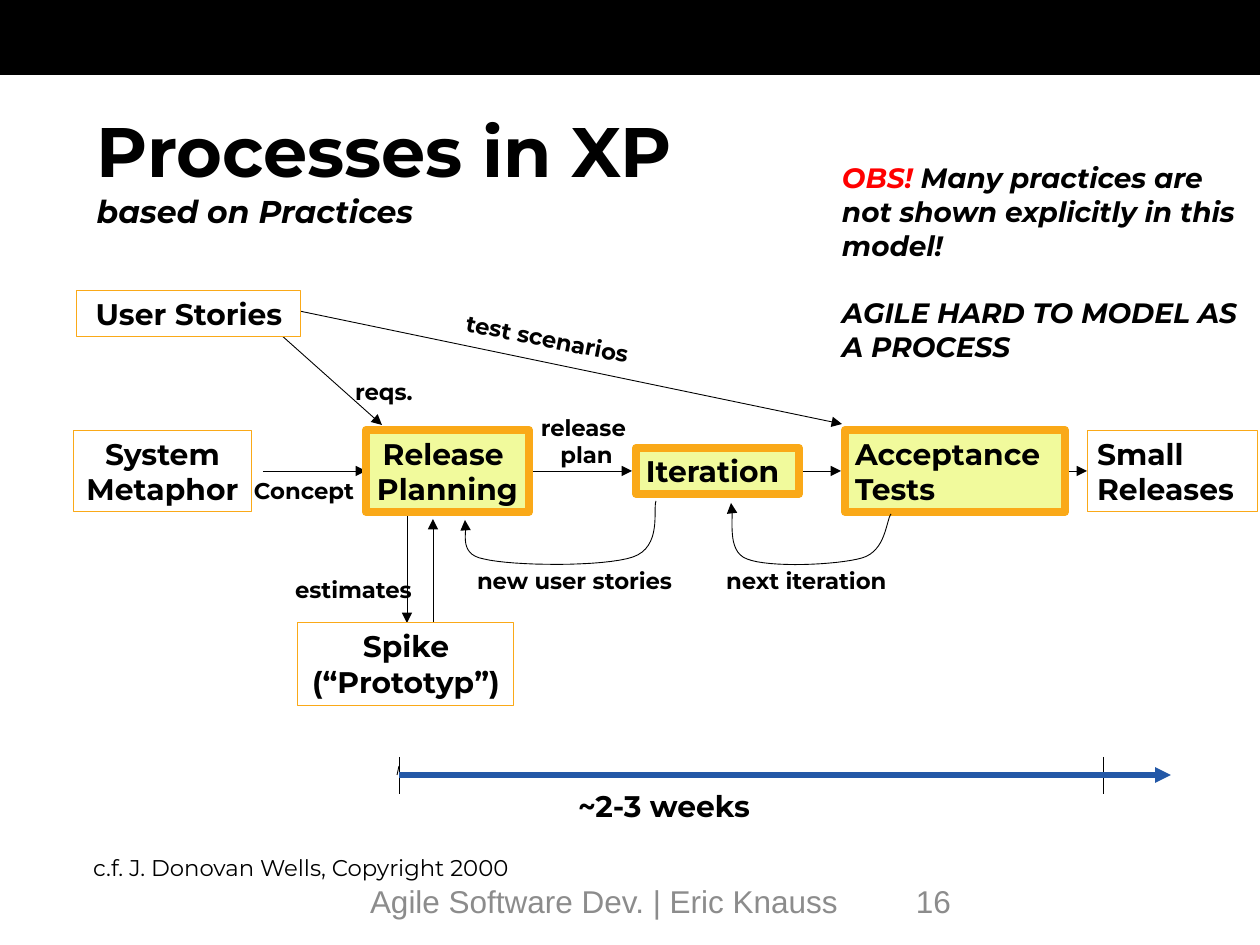
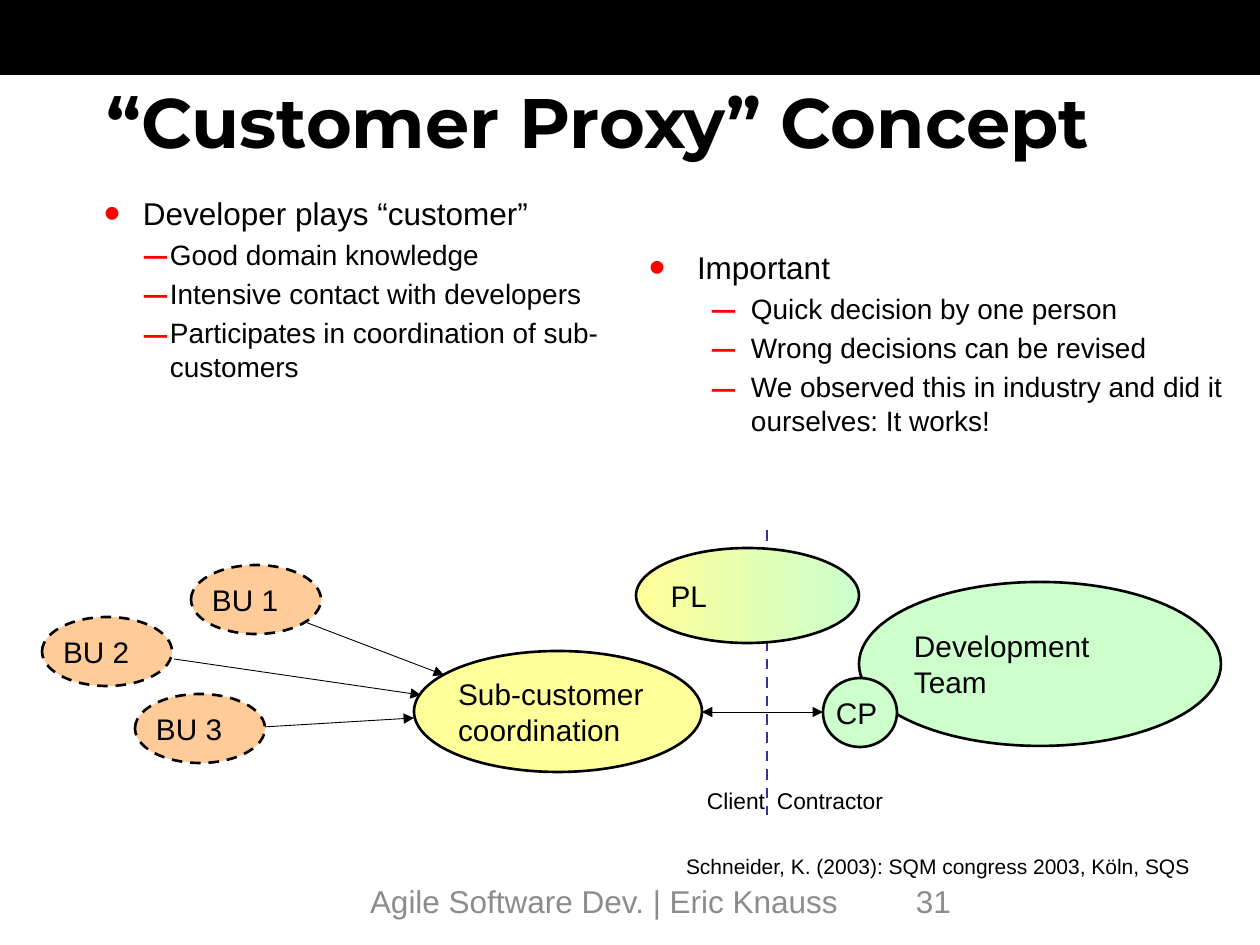
from lxml.etree import SubElement
from pptx import Presentation
from pptx.dml.color import RGBColor as Rgb
from pptx.enum.dml import MSO_LINE as Dash
from pptx.enum.shapes import MSO_CONNECTOR as Connector, MSO_SHAPE as Shape
from pptx.enum.text import MSO_ANCHOR as Anchor, MSO_AUTO_SIZE as AutoSize, PP_ALIGN as Align
from pptx.oxml.ns import qn
from pptx.util import Inches, Pt

PX = Inches(1) / 126


class Theme:
    heading_font = "Montserrat"
    body_font = "Arial"
    black = Rgb.from_string("000000")
    white = Rgb.from_string("FFFFFF")
    red = Rgb.from_string("FF0000")
    gray = Rgb.from_string("8C8C8C")
    orange = Rgb.from_string("FAA918")
    lime = Rgb.from_string("F1FA9C")
    blue = Rgb.from_string("2358A7")
    navy = Rgb.from_string("333399")
    peach = Rgb.from_string("FFCC99")
    yellow = Rgb.from_string("FFFF99")
    mint = Rgb.from_string("CCFFCC")
    title = 40
    subtitle = 18
    footer = 18
    box = 17
    note = 16
    label = 13
    source = 12
    bullets = (18, 16)
    thin = 0.5
    outline = 1.5
    thick = 3
    frame = 4.5


def add_block(slide, at, text="", kind=None, size=Theme.box, font=Theme.heading_font, bold=False,
              color=Theme.black, fill=None, line=None, width=Theme.thin, dash=None,
              align=Align.LEFT, anchor=Anchor.MIDDLE, inset=(10, 5)):
    place = [round(value * PX) for value in at]
    if kind is None:
        shape = slide.shapes.add_textbox(*place)
    else:
        shape = slide.shapes.add_shape(kind, *place)
        shape.shadow.inherit = False
        if fill is None:
            shape.fill.background()
        else:
            shape.fill.solid()
            shape.fill.fore_color.rgb = fill
        if line is None:
            shape.line.fill.background()
        else:
            shape.line.color.rgb = line
            shape.line.width = Pt(width)
            if dash:
                shape.line.dash_style = dash
    frame = shape.text_frame
    frame.word_wrap = align != Align.CENTER
    frame.auto_size = AutoSize.NONE
    frame.vertical_anchor = anchor
    frame.margin_left = frame.margin_right = round(inset[0] * PX)
    frame.margin_top = frame.margin_bottom = round(inset[1] * PX)
    frame.text = text
    for paragraph in frame.paragraphs:
        paragraph.alignment = align
        paragraph.font.name = font
        paragraph.font.size = Pt(size)
        paragraph.font.bold = bold
        paragraph.font.color.rgb = color
    return shape


def style_line(shape, color=Theme.black, width=Theme.thin, dash=None, ends=("tailEnd",)):
    shape.line.color.rgb = color
    shape.line.width = Pt(width)
    if dash:
        shape.line.dash_style = dash
    properties = shape.element.spPr
    for end in ends:
        SubElement(properties.find(qn("a:ln")), qn("a:" + end), type="triangle")
    SubElement(properties, qn("a:effectLst"))


presentation = Presentation()
presentation.slide_width = Inches(10)
presentation.slide_height = Inches(7.5)
layout = presentation.slide_layouts[5]

slides = []
for number, title_at, title_anchor in (
    ("16", (84, 116, 1175, 105), Anchor.MIDDLE),
    ("31", (94, 73, 1071, 126), Anchor.TOP),
):
    slide = presentation.slides.add_slide(layout)
    slides.append(slide)
    title = slide.shapes.title
    title.left, title.top, title.width, title.height = [round(value * PX) for value in title_at]
    title.text_frame.auto_size = AutoSize.NONE
    title.text_frame.vertical_anchor = title_anchor
    title.text_frame.margin_top = title.text_frame.margin_bottom = round(5 * PX)
    for left, width, text in ((357, 546, "Agile Software Dev. | Eric Knauss"), (903, 294, number)):
        add_block(slide, (left, 876, width, 50), text, size=Theme.footer, font=Theme.body_font,
                  color=Theme.gray, anchor=Anchor.TOP, inset=(13, 6))

process_slide, proxy_slide = slides
band = add_block(process_slide, (0, 0, 1260, 75), kind=Shape.RECTANGLE, fill=Theme.black)
layout.shapes.element.insert(2, band.element)

process_slide.shapes.title.text_frame.text = "Processes in XP\vbased on Practices"
proxy_slide.shapes.title.text_frame.text = "“Customer Proxy” Concept"
for slide in slides:
    paragraph = slide.shapes.title.text_frame.paragraphs[0]
    paragraph.alignment = Align.LEFT
    paragraph.font.name = Theme.heading_font
    paragraph.font.size = Pt(Theme.title)
    paragraph.font.bold = True
    paragraph.font.color.rgb = Theme.black
subtitle = process_slide.shapes.title.text_frame.paragraphs[0].runs[1]
subtitle.font.size = Pt(Theme.subtitle)
subtitle.font.italic = True

steps = {}
for name, at, text, fill, width, align in (
    ("stories", (77, 290, 224, 47), "User Stories", Theme.white, Theme.thin, Align.CENTER),
    ("metaphor", (73, 430, 179, 82), "System\nMetaphor", Theme.white, Theme.thin, Align.CENTER),
    ("planning", (366, 430, 163, 82), "Release \nPlanning", Theme.lime, Theme.frame, Align.CENTER),
    ("iteration", (636, 448, 163, 46), "Iteration", Theme.lime, Theme.frame, Align.LEFT),
    ("tests", (845, 430, 220, 82), "Acceptance\nTests", Theme.lime, Theme.frame, Align.LEFT),
    ("releases", (1087, 430, 170, 82), "Small\nReleases", None, Theme.thin, Align.LEFT),
    ("spike", (298, 622, 216, 83), "Spike\n(“Prototyp”)", None, Theme.thin, Align.CENTER),
):
    steps[name] = add_block(process_slide, at, text, Shape.RECTANGLE, bold=True, fill=fill,
                            line=Theme.orange, width=width, align=align)

for at, text, size, bold, align, rotation in (
    ((716, 561, 193, 38), "next iteration", Theme.label, True, Align.LEFT, 0),
    ((467, 561, 231, 38), "new user stories", Theme.label, True, Align.LEFT, 0),
    ((244, 471, 127, 38), "Concept", Theme.label, True, Align.LEFT, 0),
    ((455, 321, 202, 38), "test scenarios", Theme.label, True, Align.LEFT, 11.2),
    ((345, 372, 84, 38), "reqs.", Theme.label, True, Align.LEFT, 0),
    ((529, 408, 115, 66), "release \nplan", Theme.label, True, Align.CENTER, 0),
    ((285, 570, 146, 38), "estimates", Theme.label, True, Align.LEFT, 0),
    ((568, 782, 208, 47), "~2-3 weeks", Theme.box, True, Align.LEFT, 0),
    ((83, 848, 485, 38), "c.f. J. Donovan Wells, Copyright 2000", Theme.label, False, Align.LEFT, 0),
):
    label = add_block(process_slide, at, text, size=size, bold=bold, align=align)
    label.rotation = rotation

note = add_block(process_slide, (829, 155, 431, 217), "\nAGILE HARD TO MODEL AS A PROCESS",
                 size=Theme.note, bold=True, anchor=Anchor.TOP, inset=(13, 6))
warning, conclusion = note.text_frame.paragraphs
for text, color in (
    ("OBS! ", Theme.red),
    ("Many practices are not shown explicitly in this model!", Theme.black),
):
    run = warning.add_run()
    run.text = text
    run.font.color.rgb = color
for paragraph in (warning, conclusion):
    paragraph.font.italic = True
conclusion.space_before = Pt(19.5)

arrow, plain, double = ("tailEnd",), (), ("headEnd", "tailEnd")
for start, end, source, target, color, width, ends in (
    ((263, 471), (366, 471), None, "planning", Theme.black, Theme.thin, arrow),
    ((529, 471), (632, 471), "planning", None, Theme.black, Theme.thin, arrow),
    ((799, 471), (841, 471), "iteration", None, Theme.black, Theme.thin, arrow),
    ((1065, 471), (1087, 471), "tests", "releases", Theme.black, Theme.thin, arrow),
    ((280, 334), (382, 425), None, None, Theme.black, Theme.thin, arrow),
    ((280, 307), (842, 424), None, None, Theme.black, Theme.thin, arrow),
    ((407, 514), (407, 623), None, None, Theme.black, Theme.thin, arrow),
    ((433, 622), (433, 519), None, None, Theme.black, Theme.thin, arrow),
    ((399, 775), (1171, 775), None, None, Theme.blue, Theme.thick, arrow),
    ((399, 766), (397, 775), None, None, Theme.black, Theme.thin, plain),
    ((399, 757), (399, 794), None, None, Theme.black, Theme.thin, plain),
    ((1103, 757), (1103, 794), None, None, Theme.black, Theme.thin, plain),
):
    place = [round(value * PX) for value in start + end]
    connector = process_slide.shapes.add_connector(Connector.STRAIGHT, *place)
    if source:
        connector.begin_connect(steps[source], 3)
    if target:
        connector.end_connect(steps[target], 1)
    style_line(connector, color, width, ends=ends)
    process_slide.shapes.element.insert(2, connector.element)

for loop in (
    [(891, 514), (886, 521), (886, 551), (862, 558), (838, 565),
     (769, 568), (747, 559), (725, 551), (735, 515), (731, 503)],
    [(656, 501), (653, 510), (662, 547), (633, 557), (604, 567),
     (512, 566), (484, 559), (456, 554), (469, 529), (465, 520)],
):
    points = []
    for first in range(0, len(loop) - 1, 3):
        controls = loop[first:first + 4]
        for step in range(1, 17):
            t = step / 16
            weights = ((1 - t) ** 3, 3 * t * (1 - t) ** 2, 3 * t * t * (1 - t), t ** 3)
            points.append([round(PX * sum(weight * control[axis] for weight, control in zip(weights, controls)))
                           for axis in (0, 1)])
    builder = process_slide.shapes.build_freeform(*[round(value * PX) for value in loop[0]])
    builder.add_line_segments(points, close=False)
    feedback = builder.convert_to_shape()
    feedback.fill.background()
    style_line(feedback)

for at, indents, lines in (
    ((94, 189, 527, 651), ((39, 39), (66, 26)),
     ("Developer plays “customer”", "Good domain knowledge", "Intensive contact with developers",
      "Participates in coordination of sub-customers")),
    ((639, 243, 600, 585), ((48, 48), (102, 39)),
     ("Important", "Quick decision by one person", "Wrong decisions can be revised",
      "We observed this in industry and did it ourselves: It works!")),
):
    body = add_block(proxy_slide, at, anchor=Anchor.TOP)
    for index, text in enumerate(lines):
        level = min(index, 1)
        paragraph = body.text_frame.add_paragraph() if index else body.text_frame.paragraphs[0]
        paragraph.text = text
        paragraph.level = level
        properties = paragraph._p.get_or_add_pPr()
        for child in list(properties):
            properties.remove(child)
        margin, hanging = indents[level]
        properties.set("marL", str(round(margin * PX)))
        properties.set("indent", str(-round(hanging * PX)))
        SubElement(SubElement(properties, qn("a:buClr")), qn("a:srgbClr"), val=str(Theme.red))
        SubElement(properties, qn("a:buSzPct"), val="150000")
        SubElement(properties, qn("a:buFont"), typeface=Theme.body_font)
        SubElement(properties, qn("a:buChar"), char="•–"[level])
        if index:
            paragraph.space_before = Pt(Theme.bullets[level] * 0.2)
        paragraph.font.name = Theme.body_font
        paragraph.font.size = Pt(Theme.bullets[level])
        paragraph.font.color.rgb = Theme.black

roles = {}
for at, text, fill, dash in (
    ((191, 565, 130, 69), "BU 1", Theme.peach, Dash.DASH),
    ((42, 617, 130, 69), "BU 2", Theme.peach, Dash.DASH),
    ((135, 694, 130, 69), "BU 3", Theme.peach, Dash.DASH),
    ((859, 582, 362, 164), "Development\vTeam", Theme.mint, None),
    ((414, 651, 288, 121), "Sub-customer\vcoordination", Theme.yellow, None),
    ((823, 678, 74, 69), "CP", Theme.mint, None),
    ((636, 548, 223, 95), "PL", Theme.yellow, None),
):
    roles[text] = add_block(proxy_slide, at, text, Shape.OVAL, font=Theme.body_font, fill=fill,
                            line=Theme.black, width=Theme.outline, dash=dash, inset=(2, 1))
gradient = roles["PL"].fill
gradient.gradient()
gradient.gradient_angle = 0
for stop, color in zip(gradient.gradient_stops, (Theme.yellow, Theme.mint)):
    stop.color.rgb = color

for start, end, color, width, dash, ends in (
    ((305, 622), (444, 675), Theme.black, Theme.thin, None, arrow),
    ((174, 659), (421, 695), Theme.black, Theme.thin, None, arrow),
    ((263, 727), (414, 718), Theme.black, Theme.thin, None, arrow),
    ((702, 712), (823, 712), Theme.black, Theme.thin, None, double),
    ((767, 530), (767, 815), Theme.navy, Theme.outline, Dash.DASH, plain),
):
    place = [round(value * PX) for value in start + end]
    connector = proxy_slide.shapes.add_connector(Connector.STRAIGHT, *place)
    style_line(connector, color, width, dash, ends)
    proxy_slide.shapes.element.insert(2, connector.element)

for at, text, size, align, inset in (
    ((593, 780, 174, 40), "Client", Theme.label, Align.RIGHT, (2, 1)),
    ((775, 780, 170, 40), "Contractor", Theme.label, Align.LEFT, (2, 1)),
    ((673, 847, 551, 38), "Schneider, K. (2003): SQM congress 2003, Köln, SQS", Theme.source, Align.LEFT, (13, 6)),
):
    add_block(proxy_slide, at, text, size=size, font=Theme.body_font, align=align, inset=inset)

presentation.save("out.pptx")
